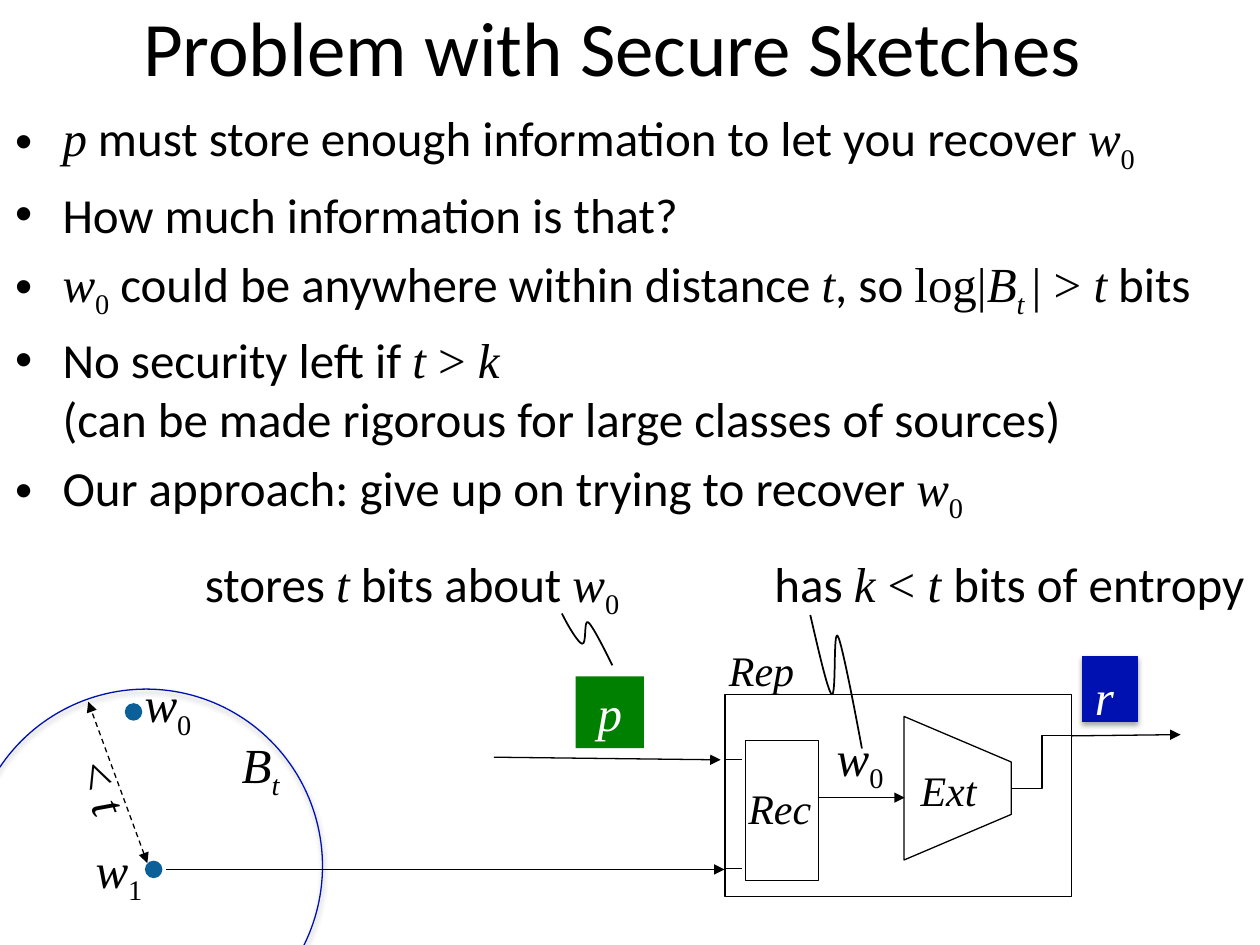
from lxml import etree
from pptx import Presentation
from pptx.dml.color import RGBColor
from pptx.enum import dml, shapes, text
from pptx.oxml.ns import qn
from pptx.util import Pt

BLACK, WHITE, GREEN, BLUE, DOT = "000000", "FFFFFF", "008000", "0011B2", "0B609A"

# Run styles: "" plain, "m" serif, "i" serif italic, "s" subscript, "si" italic subscript
W0 = [("w", "i"), ("0", "s")]
W1 = [("w", "i"), ("1", "s")]
T = ("t", "i")

TITLE = "Problem with Secure Sketches"
BULLETS = [
    [("p", "i"), (" must store enough information to let you recover ", ""), *W0],
    [("How much information is that?", "")],
    [*W0, (" could be anywhere within distance ", ""), T, (", so ", ""), ("log|", "m"),
     ("B", "i"), ("t ", "si"), ("| > ", "m"), T, (" bits", "")],
    [("No security left if ", ""), T, (" > ", "m"), ("k", "i"), ("\n", ""),
     ("(can be made rigorous for large classes of sources)", "")],
    [("Our approach: give up on trying to recover ", ""), *W0],
]

# left, top, width, height, runs, size, colour, rotation
LABELS = [
    (409.5, 364.5, 60.5, 36, [("Rep", "i")], 24, BLACK, 0),
    (519, 433.5, 55, 36, [("Ext", "i")], 24, BLACK, 0),
    (420.5, 443.5, 59, 47, [("Rec", "i")], 24, BLACK, 0),
    (75.5, 381.5, 46, 41, W0, 28, BLACK, 0),
    (47.5, 476, 46, 41, W1, 28, BLACK, 0),
    (471, 412, 46, 41, W0, 28, BLACK, 0),
    (36.5, 430.5, 47, 41, [("< ", "m"), T], 28, BLACK, 69.7),
    (131, 416, 40.5, 41, [("B", "i"), ("t", "si")], 28, BLACK, 0),
    (618.5, 377.5, 35, 41, [("r", "i")], 28, WHITE, 0),
    (110, 312.5, 258, 41, [("stores ", ""), T, (" bits about ", ""), *W0], 28, BLACK, 0),
    (435.5, 312.5, 285, 41, [("has ", ""), ("k", "i"), (" < ", "m"), ("t ", "i"),
                             ("bits of entropy", "")], 28, BLACK, 0),
]

# preset, box, fill, line, shadow, rotation
S = shapes.MSO_SHAPE
SHAPES = [
    (S.RECTANGLE, (414.3, 397, 198, 115.2), None, BLACK, False, 0),
    (S.RECTANGLE, (426, 423, 41.6, 80), None, BLACK, False, 0),
    (S.TRAPEZOID, (506.2, 419.8, 82, 61.2), None, BLACK, False, 90),
    (S.OVAL, (82.8, 491.8, 10, 10), DOT, None, False, 0),
    (S.OVAL, (71.3, 401.8, 10, 10), DOT, None, False, 0),
    (S.OVAL, (-17.3, 393.8, 201.6, 202.3), None, BLUE, True, 0),
    (S.RECTANGLE, (618.5, 375.1, 31.7, 37.4), BLUE, BLUE, True, 0),
]

# from, to, arrowheads, dashed
LINES = [
    ((612.7, 420.5), (674.6, 419.8), ["tailEnd"], False),
    ((95, 496.8), (414, 496.8), ["tailEnd"], False),
    ((282.2, 432.7), (411.8, 434.2), ["tailEnd"], False),
    ((414, 496.1), (424, 496.1), [], False),
    ((414, 434.2), (424, 434.2), [], False),
    ((467.3, 455.8), (517, 455.8), ["tailEnd"], False),
    ((84.2, 493.2), (50.4, 401), ["headEnd", "tailEnd"], True),
]
ELBOW = ((578.2, 450.7), (612.7, 420.5))

# Start point, then three Bezier points per segment
SQUIGGLES = [
    [(321.1, 350.6), (325.4, 359.3), (330.5, 367.2), (332.6, 367.9),
     (335.5, 368.6), (333.4, 353.5), (336.2, 355.7),
     (339.1, 357.8), (349.9, 380.2), (349.9, 380.2)],
    [(463, 351.4), (468, 373), (473, 394.6), (475.2, 396.7),
     (478.1, 398.9), (475.9, 358.6), (478.8, 363.6),
     (481.7, 368.6), (492.5, 427.7), (492.5, 427.7)],
]


def rgb(value):
    return RGBColor.from_string(value)


def pts(values):
    return [Pt(v) for v in values]


def add_runs(p, runs, size, colour=BLACK):
    for words, style in runs:
        if words == "\n":
            p.add_line_break()
            continue
        r = p.add_run()
        r.text = words
        r.font.size = Pt(size)
        r.font.name = "Times New Roman" if style else "Calibri"
        r.font.italic = "i" in style
        r.font.color.rgb = rgb(colour)
        if "s" in style:
            r.font._element.set("baseline", "-25000")


def style_shape(sp, fill, line, width=0.75):
    sp.shadow.inherit = False
    if fill:
        sp.fill.solid()
        sp.fill.fore_color.rgb = rgb(fill)
    else:
        sp.fill.background()
    if line:
        sp.line.color.rgb = rgb(line)
        sp.line.width = Pt(width)
    else:
        sp.line.fill.background()


def add_shadow(sp):
    effects = sp._element.spPr.find(qn("a:effectLst"))
    outer = etree.SubElement(effects, qn("a:outerShdw"), blurRad=str(Pt(3.1)),
                             dist=str(Pt(1.8)), dir="5400000", rotWithShape="0")
    colour = etree.SubElement(outer, qn("a:srgbClr"), val=BLACK)
    etree.SubElement(colour, qn("a:alpha"), val="35000")


def add_label(s, box, runs, size, colour=BLACK, rotation=0):
    sp = s.shapes.add_textbox(*pts(box))
    sp.rotation = rotation
    sp.text_frame.word_wrap = False
    add_runs(sp.text_frame.paragraphs[0], runs, size, colour)
    return sp


def add_line(s, start, end, heads=(), dashed=False, kind=shapes.MSO_CONNECTOR.STRAIGHT):
    c = s.shapes.add_connector(kind, *pts(start + end))
    c.line.color.rgb = rgb(BLACK)
    c.line.width = Pt(0.75)
    if dashed:
        c.line.dash_style = dml.MSO_LINE.DASH
    for head in heads:
        etree.SubElement(c.line._get_or_add_ln(), qn("a:" + head), type="triangle")
    etree.SubElement(c._element.spPr, qn("a:effectLst"))


def add_curve(s, points):
    """Draw a polyline, then merge each three of its points into a Bezier segment."""
    builder = s.shapes.build_freeform(*pts(points[0]))
    builder.add_line_segments([pts(p) for p in points[1:]], close=False)
    sp = builder.convert_to_shape()
    style_shape(sp, None, BLACK, 1)
    steps = list(sp._element.iter(qn("a:lnTo")))
    for i in range(0, len(steps), 3):
        curve = etree.SubElement(steps[i].getparent(), qn("a:cubicBezTo"))
        for step in steps[i:i + 3]:
            curve.append(step[0])
            step.getparent().remove(step)


def place(sp, box):
    sp.left, sp.top, sp.width, sp.height = pts(box)


def main():
    prs = Presentation()
    prs.slide_width, prs.slide_height = Pt(720), Pt(540)
    s = prs.slides.add_slide(prs.slide_layouts[1])

    title, body = s.placeholders
    place(title, (-39, -8, 778, 68))
    add_runs(title.text_frame.paragraphs[0], [(TITLE, "")], 44)

    place(body, (1.5, 58, 748, 250))
    tf = body.text_frame
    tf.auto_size = text.MSO_AUTO_SIZE.NONE
    for i, runs in enumerate(BULLETS):
        p = tf.add_paragraph() if i else tf.paragraphs[0]
        p.font.size = Pt(28)
        p.space_before = Pt(5.6 if i else 0)
        add_runs(p, runs, 28)

    for preset, box, fill, line, shadow, rotation in SHAPES:
        sp = s.shapes.add_shape(preset, *pts(box))
        sp.rotation = rotation
        style_shape(sp, fill, line)
        if preset == S.TRAPEZOID:
            sp.adjustments[0] = 0.425
        if shadow:
            add_shadow(sp)

    for line in LINES:
        add_line(s, *line)
    add_line(s, *ELBOW, kind=shapes.MSO_CONNECTOR.ELBOW)

    for *box, runs, size, colour, rotation in LABELS:
        add_label(s, box, runs, size, colour, rotation)
    key = add_label(s, (329, 386.6, 39, 41), [("p", "i")], 28, WHITE)
    key.text_frame.paragraphs[0].alignment = text.PP_ALIGN.CENTER
    key.fill.solid()
    key.fill.fore_color.rgb = rgb(GREEN)

    for points in SQUIGGLES:
        add_curve(s, points)
    prs.save("out.pptx")


if __name__ == "__main__":
    main()
